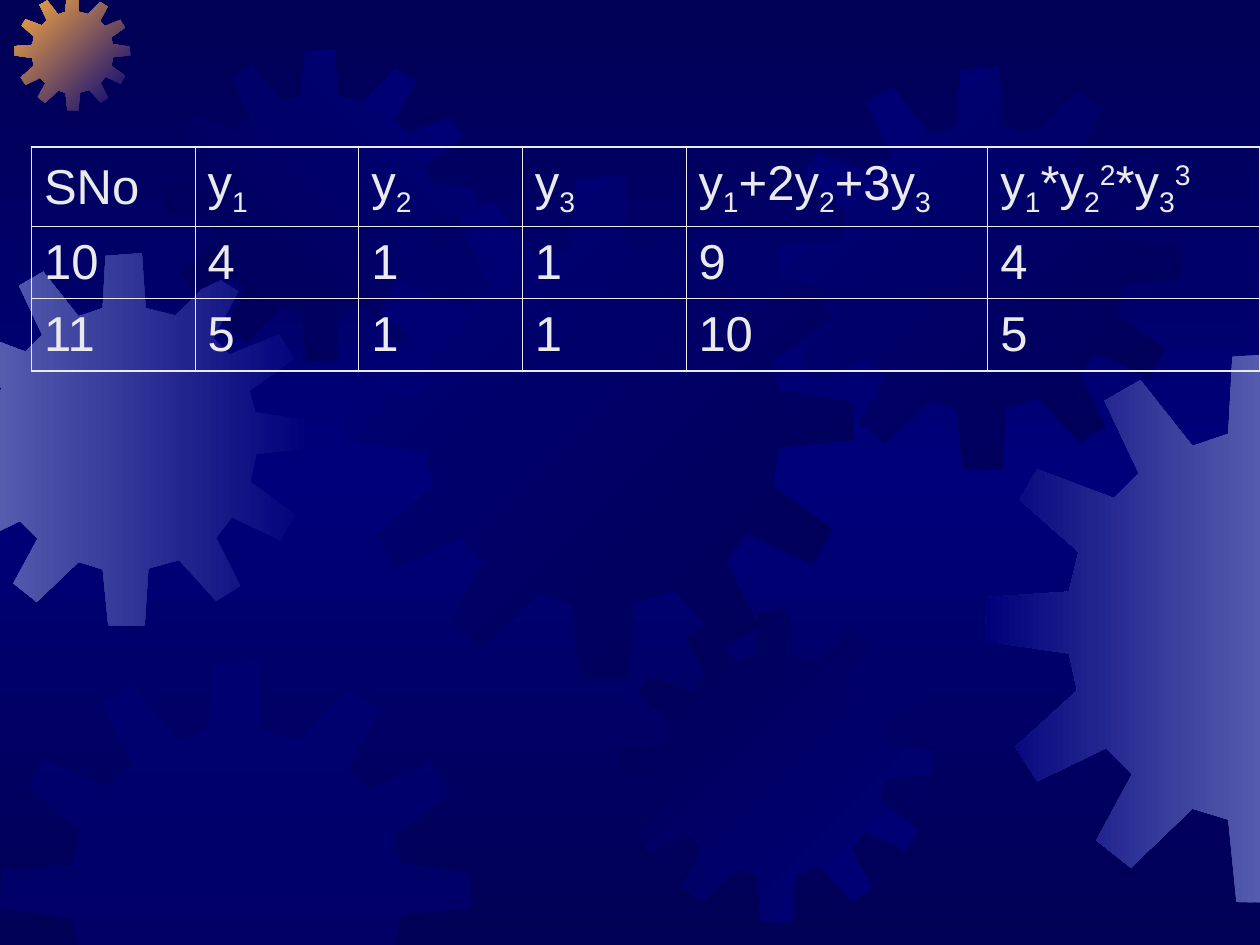
from copy import deepcopy

from lxml.etree import SubElement
from pptx import Presentation
from pptx.dml.color import RGBColor
from pptx.enum.text import MSO_ANCHOR
from pptx.oxml.ns import qn
from pptx.util import Pt

SLIDE_W, SLIDE_H = 720, 540
NAVY, BLUE, LAVENDER, ORANGE, PALE = "000054", "00007A", "555BAD", "FCAB40", "EAEAEA"

OUTLINE_SIZE = 401
OUTLINE = [
    (255, 67), (223, 59), (219, 0), (180, 3), (177, 59), (151, 68), (113, 20), (87, 35),
    (112, 88), (94, 106), (38, 85), (25, 107), (68, 145), (61, 174), (1, 178), (0, 210),
    (61, 219), (67, 246), (22, 287), (38, 312), (88, 288), (107, 307), (81, 355), (106, 375),
    (151, 332), (177, 340), (183, 400), (222, 401), (226, 339), (259, 330), (299, 374), (325, 358),
    (299, 306), (316, 284), (368, 309), (384, 281), (336, 246), (342, 216), (401, 210), (400, 180),
    (341, 171), (335, 148), (383, 114), (367, 87), (313, 109), (296, 91), (323, 41), (297, 25),
]

GEARS = [
    (-35.3, 144.7, 213.1, (BLUE, LAVENDER), 180),
    (8.4, -2.9, 66, (BLUE, ORANGE), 225),
    (93.6, 28.1, 178.6, (BLUE, NAVY), 135),
    (199.4, 100.1, 288.7, (NAVY, BLUE), 225),
    (0, 378, 269.3, (BLUE,), None),
    (353.5, 348.5, 178.6, (BLUE, NAVY), 225),
    (445, 38.2, 230.4, (NAVY, BLUE), 225),
    (563, 201.6, 314.6, (LAVENDER, BLUE), 180),
]

BASELINES = {"_": "-25000", "^": "30000"}
COLUMN_WIDTHS = [93.5] * 4 + [172.5, 155.5]
ROW_HEIGHTS = [45.4, 41.2, 41.2]
ROWS = [
    ["SNo", "y|_1", "y|_2", "y|_3", "y|_1|+2y|_2|+3y|_3", "y|_1|*y|_2|^2|*y|_3|^3"],
    ["10", "4", "1", "1", "9", "4"],
    ["11", "5", "1", "1", "10", "5"],
]


def rgb(code):
    """Return the colour for a hex string."""
    return RGBColor.from_string(code)


def fill_gradient(fill, colors, angle):
    """Fill with a two-colour gradient at a clockwise angle."""
    fill.gradient()
    fill.gradient_angle = (360 - angle) % 360
    for stop, position, color in zip(fill.gradient_stops, (0, 1), colors):
        stop.position = position
        stop.color.rgb = rgb(color)


def paint_background(slide):
    """Shade the background from navy through blue to navy."""
    fill_gradient(slide.background.fill, (NAVY, NAVY), 90)
    stops = slide.element.find(".//" + qn("a:gsLst"))
    middle = deepcopy(stops[0])
    middle.set("pos", "50000")
    middle.find(qn("a:srgbClr")).set("val", BLUE)
    stops.insert(1, middle)


def clip(points, axis, edge, side):
    """Keep the part of a polygon on one side of an axis-aligned edge."""
    kept = []
    for start, end in zip(points[-1:] + points[:-1], points):
        start_gap = (start[axis] - edge) * side
        end_gap = (end[axis] - edge) * side
        if start_gap * end_gap < 0:
            share = start_gap / (start_gap - end_gap)
            kept.append(tuple(a + (b - a) * share for a, b in zip(start, end)))
        if end_gap >= 0:
            kept.append(end)
    return kept


def add_gear(slide, left, top, size, colors, angle):
    """Draw one gear, trimmed at the slide edges."""
    scale = size / OUTLINE_SIZE
    points = [(left + x * scale, top + y * scale) for x, y in OUTLINE]
    for axis, edge, side in ((0, 0, 1), (0, SLIDE_W, -1), (1, 0, 1), (1, SLIDE_H, -1)):
        points = clip(points, axis, edge, side)
    points = [(Pt(x), Pt(y)) for x, y in points]
    builder = slide.shapes.build_freeform(*points[0], scale=1.0)
    builder.add_line_segments(points[1:], close=True)
    gear = builder.convert_to_shape()
    gear.shadow.inherit = False
    gear.line.fill.background()
    if angle is None:
        gear.fill.solid()
        gear.fill.fore_color.rgb = rgb(colors[0])
        tint = gear.fill._xPr.find(".//" + qn("a:srgbClr"))
        SubElement(tint, qn("a:alpha"), val="50000")
    else:
        fill_gradient(gear.fill, colors, angle)


def set_borders(cell, widths):
    """Draw the left, right, top and bottom borders of a cell."""
    properties = cell._tc.get_or_add_tcPr()
    for index, (edge, width) in enumerate(zip("LRTB", widths)):
        border = properties.makeelement(qn(f"a:ln{edge}"), {"w": str(Pt(width))})
        paint = SubElement(border, qn("a:solidFill"))
        SubElement(paint, qn("a:srgbClr"), val=PALE)
        properties.insert(index, border)


def write_cell(cell, markup):
    """Write text whose | pieces may be subscripts or superscripts."""
    cell.vertical_anchor = MSO_ANCHOR.MIDDLE
    paragraph = cell.text_frame.paragraphs[0]
    font = paragraph.font
    font.name, font.size = "Arial", Pt(28)
    font.color.rgb = rgb(PALE)
    for piece in markup.split("|"):
        run = paragraph.add_run()
        run.text = piece.lstrip("_^")
        if piece[0] in BASELINES:
            run.font._element.set("baseline", BASELINES[piece[0]])


def add_results(slide):
    """Add the table of solutions."""
    frame = slide.shapes.add_table(
        len(ROWS), len(COLUMN_WIDTHS), Pt(18), Pt(84.2),
        Pt(sum(COLUMN_WIDTHS)), Pt(sum(ROW_HEIGHTS)))
    table = frame.table
    table.first_row = table.horz_banding = False
    for column, width in zip(table.columns, COLUMN_WIDTHS):
        column.width = Pt(width)
    for row, height in zip(table.rows, ROW_HEIGHTS):
        row.height = Pt(height)
    last_row, last_column = len(ROWS) - 1, len(COLUMN_WIDTHS) - 1
    for r, row in enumerate(ROWS):
        for c, markup in enumerate(row):
            cell = table.cell(r, c)
            cell.fill.background()
            outer = (c == 0, c == last_column, r == 0, r == last_row)
            set_borders(cell, [1.08 if edge else 0.45 for edge in outer])
            write_cell(cell, markup)


def main():
    """Build and save the slide."""
    deck = Presentation()
    deck.slide_width, deck.slide_height = Pt(SLIDE_W), Pt(SLIDE_H)
    slide = deck.slides.add_slide(deck.slide_layouts[6])
    paint_background(slide)
    for gear in GEARS:
        add_gear(slide, *gear)
    add_results(slide)
    deck.save("out.pptx")


if __name__ == "__main__":
    main()
